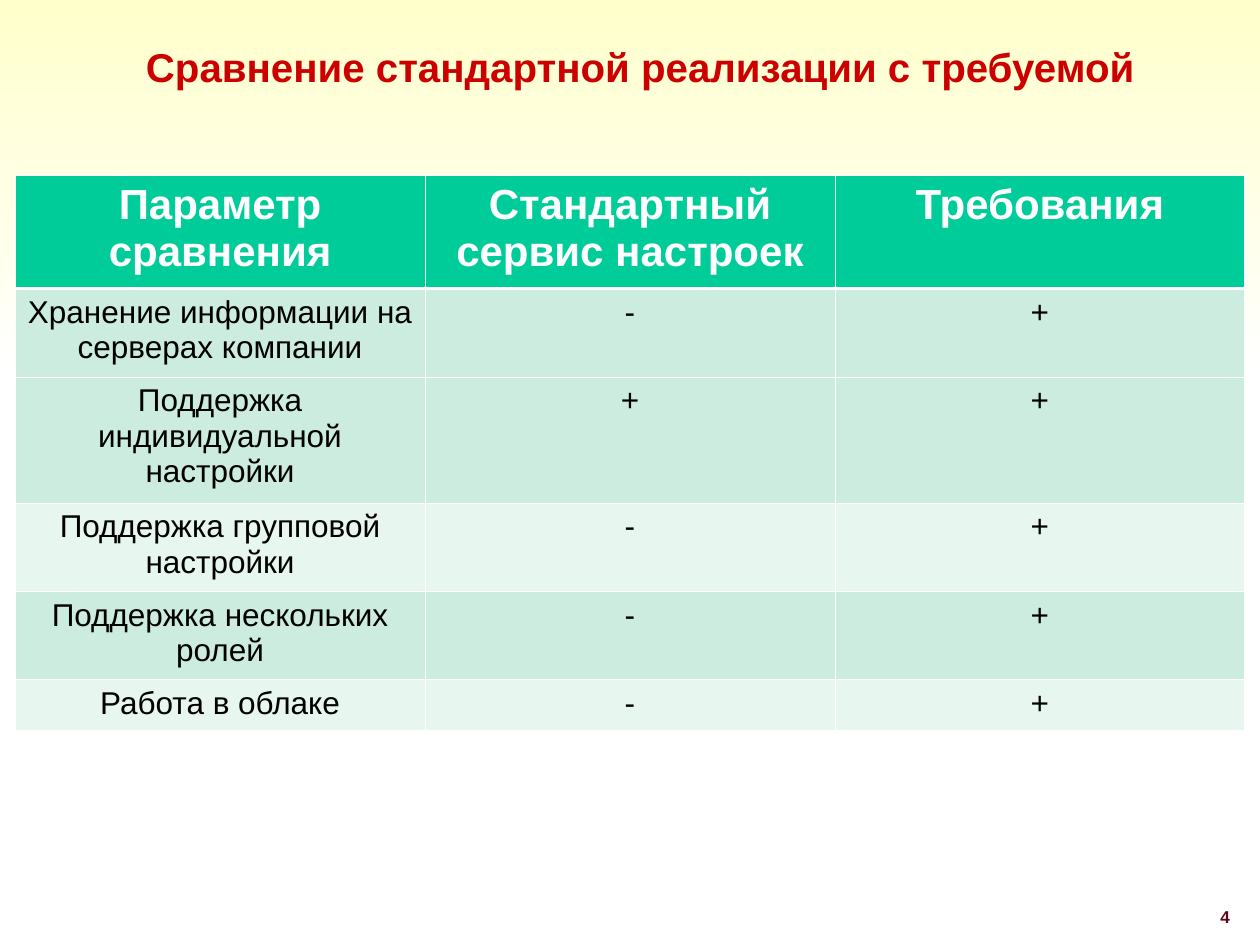
from lxml.etree import SubElement
from pptx import Presentation
from pptx.dml.color import RGBColor
from pptx.enum.shapes import MSO_SHAPE
from pptx.enum.text import MSO_ANCHOR, PP_ALIGN
from pptx.oxml.ns import qn
from pptx.util import Inches, Pt

# Content
TITLE = "Сравнение стандартной реализации с требуемой"
PAGE = "4"
HEADER = ["Параметр сравнения", "Стандартный сервис настроек", "Требования"]
# Parameter, standard service, requirement, lines of text, fill
ROWS = [
    ("Хранение информации на серверах компании", "-", "+", 2, "band"),
    ("Поддержка индивидуальной настройки", "+", "+", 3, "band"),
    ("Поддержка групповой настройки", "-", "+", 2, "light"),
    ("Поддержка нескольких ролей", "-", "+", 2, "band"),
    ("Работа в облаке", "-", "+", 1, "light"),
]

# Style
COLORS = {
    "cream": "FFFFCC", "white": "FFFFFF", "black": "000000",
    "title": "CC0000", "page": "5B0917",
    "header": "00CC99", "band": "CBECDE", "light": "E7F6EF",
}
FONT = "Arial"
W, H = 10, 7.5
TABLE_W, TABLE_TOP = 9.76, 1.39
HEADER_H, LINE_H, CELL_PAD = 0.9, 0.3, 0.1
THIN, THICK = 0.45, 1.47


def rgb(name):
    return RGBColor.from_string(COLORS[name])


def put_text(tf, text, size, color, bold=False, align=PP_ALIGN.LEFT,
             spacing=None):
    tf.word_wrap = True
    p = tf.paragraphs[0]
    p.alignment = align
    if spacing:
        p.line_spacing = spacing
    r = p.add_run()
    r.text = text
    r.font.name, r.font.size, r.font.bold = FONT, Pt(size), bold
    r.font.color.rgb = rgb(color)


def set_borders(cell, top, bottom):
    tc_pr = cell._tc.get_or_add_tcPr()
    widths = {"lnL": THIN, "lnR": THIN, "lnT": top, "lnB": bottom}
    for i, (tag, width) in enumerate(widths.items()):
        ln = SubElement(tc_pr, qn(f"a:{tag}"), w=str(Pt(width)))
        fill = SubElement(ln, qn("a:solidFill"))
        SubElement(fill, qn("a:srgbClr"), val=COLORS["white"])
        tc_pr.insert(i, ln)


prs = Presentation()
prs.slide_width, prs.slide_height = Inches(W), Inches(H)
s = prs.slides.add_slide(prs.slide_layouts[6])

# Fading band behind the title
band = s.shapes.add_shape(MSO_SHAPE.RECTANGLE, 0, 0, Inches(W), Inches(3.04))
band.shadow.inherit = False
band.line.fill.background()
band.fill.gradient()
band.fill.gradient_angle = 270
for stop, name in zip(band.fill.gradient_stops, ("cream", "white")):
    stop.color.rgb = rgb(name)

# Title and page number
title = s.shapes.add_textbox(Inches(1.06), Inches(-0.03), Inches(8.94), Inches(1.18))
title.text_frame.vertical_anchor = MSO_ANCHOR.MIDDLE
put_text(title.text_frame, TITLE, 23, "title", bold=True, spacing=0.8)
page = s.shapes.add_textbox(Inches(9.02), Inches(7.14), Inches(0.84), Inches(0.28))
put_text(page.text_frame, PAGE, 9.8, "page", bold=True, align=PP_ALIGN.RIGHT)

# Comparison table, centred on the slide
heights = [HEADER_H] + [CELL_PAD + LINE_H * row[3] for row in ROWS]
table = s.shapes.add_table(
    len(heights), len(HEADER), Inches((W - TABLE_W) / 2), Inches(TABLE_TOP),
    Inches(TABLE_W), Inches(sum(heights))).table
for column in table.columns:
    column.width = Inches(TABLE_W / len(HEADER))

lines = [(HEADER, "header")] + [(row[:3], row[4]) for row in ROWS]
for i, (texts, fill) in enumerate(lines):
    table.rows[i].height = Inches(heights[i])
    head = i == 0
    for j, text in enumerate(texts):
        cell = table.cell(i, j)
        cell.fill.solid()
        cell.fill.fore_color.rgb = rgb(fill)
        set_borders(cell, top=THICK if i == 1 else THIN,
                    bottom=THICK if head else THIN)
        put_text(cell.text_frame, text, 24 if head else 18,
                 "white" if head else "black", bold=head,
                 align=PP_ALIGN.CENTER)

prs.save("out.pptx")
